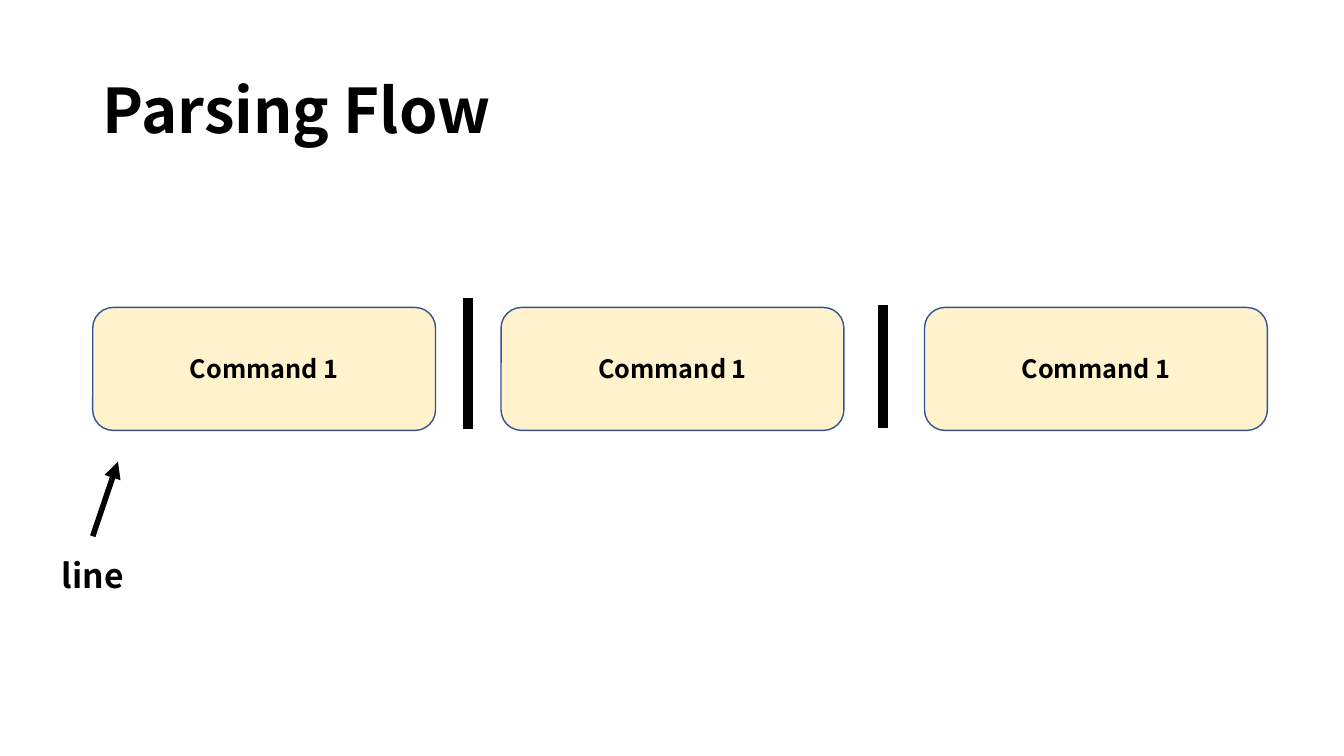
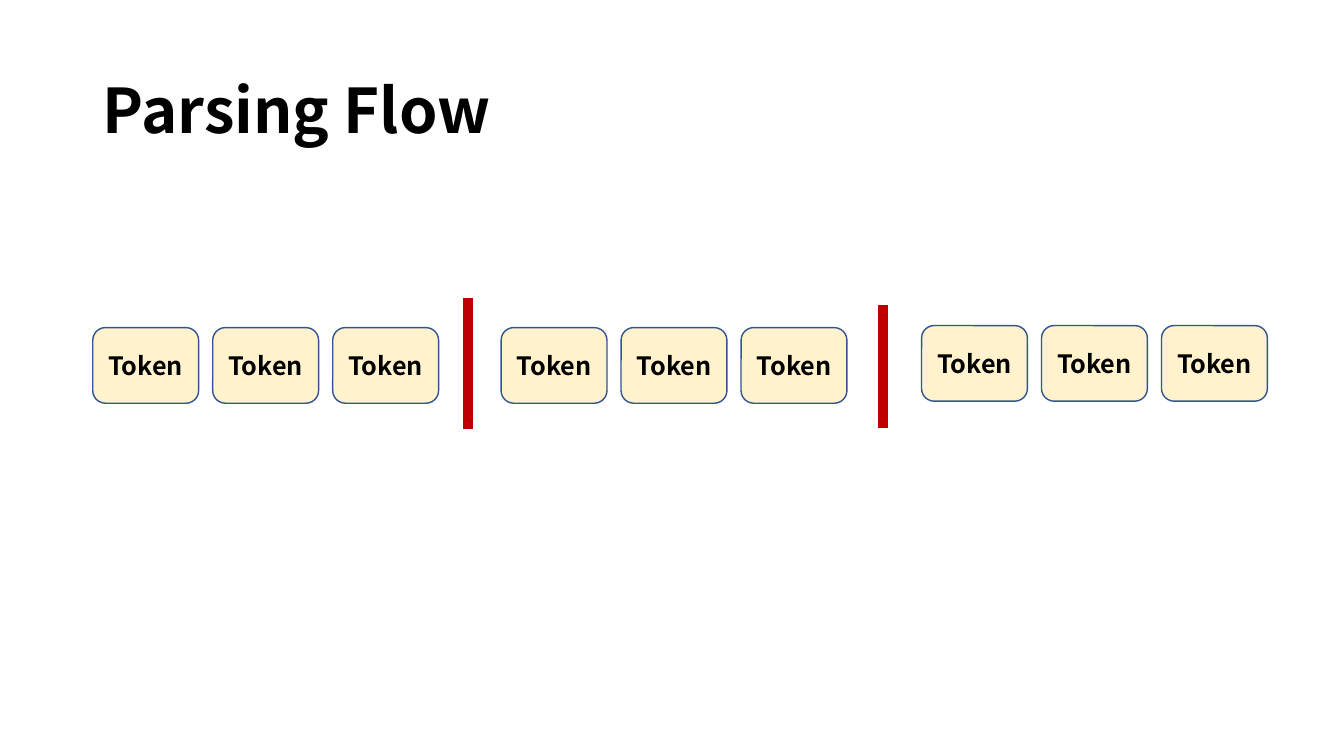
"""Build two slides that show how a command line is split into commands and tokens."""
from dataclasses import dataclass

from lxml.etree import SubElement
from pptx import Presentation
from pptx.dml.color import RGBColor
from pptx.enum.shapes import MSO_CONNECTOR, MSO_SHAPE
from pptx.enum.text import MSO_ANCHOR, MSO_AUTO_SIZE, PP_ALIGN
from pptx.oxml.ns import qn
from pptx.shapes.connector import Connector
from pptx.slide import Slide
from pptx.text.text import TextFrame
from pptx.util import Inches, Pt

FONT = "Noto Sans CJK KR"
BLACK = RGBColor(0x00, 0x00, 0x00)
RED = RGBColor(0xC0, 0x00, 0x00)
CREAM = RGBColor(0xFF, 0xF2, 0xCC)
BLUE = RGBColor(0x32, 0x54, 0x91)


@dataclass(frozen=True)
class Box:
    """A labelled rounded box, in inches."""
    text: str
    left: float
    top: float
    width: float
    height: float


@dataclass(frozen=True)
class Line:
    """A straight line between two points, in inches."""
    x1: float
    y1: float
    x2: float
    y2: float
    points: float = 7


PIPES = [Line(4.64, 2.96, 4.64, 4.26), Line(8.76, 3.03, 8.76, 4.25)]
COMMANDS = [Box("Command 1", left, 3.05, 3.4, 1.22) for left in (0.92, 4.97, 9.17)]
TOKEN_STEP = 1.19
TOKENS = [
    Box("Token", left + i * TOKEN_STEP, top, 1.05, 0.75)
    for left, top in ((0.92, 3.25), (4.97, 3.25), (9.14, 3.23))
    for i in range(3)
]


def write(tf: TextFrame, text: str, size: float, align: PP_ALIGN) -> None:
    """Write one bold black line into a text frame."""
    tf.word_wrap = True
    p = tf.paragraphs[0]
    p.alignment = align
    r = p.add_run()
    r.text = text
    r.font.name = FONT
    r.font.size = Pt(size)
    r.font.bold = True
    r.font.color.rgb = BLACK


def add_slide(prs: Presentation, title: str) -> Slide:
    """Add a slide with the shared title style."""
    s = prs.slides.add_slide(prs.slide_layouts.get_by_name("Title Only"))
    sp = s.shapes.title
    sp.left, sp.top = Inches(0.92), Inches(0.4)
    sp.width, sp.height = Inches(11.5), Inches(1.45)
    tf = sp.text_frame
    tf.auto_size = MSO_AUTO_SIZE.NONE
    tf.vertical_anchor = MSO_ANCHOR.MIDDLE
    write(tf, title, 44, PP_ALIGN.LEFT)
    tf.paragraphs[0].line_spacing = 0.9
    return s


def add_box(s: Slide, box: Box) -> None:
    """Draw a rounded box with a centred label."""
    sp = s.shapes.add_shape(
        MSO_SHAPE.ROUNDED_RECTANGLE,
        Inches(box.left), Inches(box.top), Inches(box.width), Inches(box.height),
    )
    sp.shadow.inherit = False
    sp.fill.solid()
    sp.fill.fore_color.rgb = CREAM
    sp.line.color.rgb = BLUE
    sp.line.width = Pt(1)
    sp.text_frame.vertical_anchor = MSO_ANCHOR.MIDDLE
    write(sp.text_frame, box.text, 18, PP_ALIGN.CENTER)


def add_line(s: Slide, line: Line, color: RGBColor) -> Connector:
    """Draw a straight line without a shadow."""
    cxn = s.shapes.add_connector(
        MSO_CONNECTOR.STRAIGHT,
        Inches(line.x1), Inches(line.y1), Inches(line.x2), Inches(line.y2),
    )
    cxn.line.color.rgb = color
    cxn.line.width = Pt(line.points)
    SubElement(cxn._element.spPr, qn("a:effectLst"))
    return cxn


def add_flow(prs: Presentation, boxes: list[Box], pipe_color: RGBColor) -> Slide:
    """Add a slide with a row of boxes divided by pipes."""
    s = add_slide(prs, "Parsing Flow")
    for box in boxes:
        add_box(s, box)
    for pipe in PIPES:
        add_line(s, pipe, pipe_color)
    return s


def add_line_pointer(s: Slide) -> None:
    """Add the label of the input line and its arrow."""
    sp = s.shapes.add_textbox(Inches(0.33), Inches(5.46), Inches(1.18), Inches(0.5))
    sp.text_frame.auto_size = MSO_AUTO_SIZE.SHAPE_TO_FIT_TEXT
    write(sp.text_frame, "line", 24, PP_ALIGN.CENTER)
    arrow = add_line(s, Line(0.92, 5.32, 1.17, 4.58, 4), BLACK)
    SubElement(arrow.line._get_or_add_ln(), qn("a:tailEnd"), type="triangle")


def main() -> None:
    """Build and save the presentation."""
    prs = Presentation()
    prs.slide_width, prs.slide_height = Inches(13.33), Inches(7.5)
    add_line_pointer(add_flow(prs, COMMANDS, BLACK))
    add_flow(prs, TOKENS, RED)
    prs.save("out.pptx")


main()
